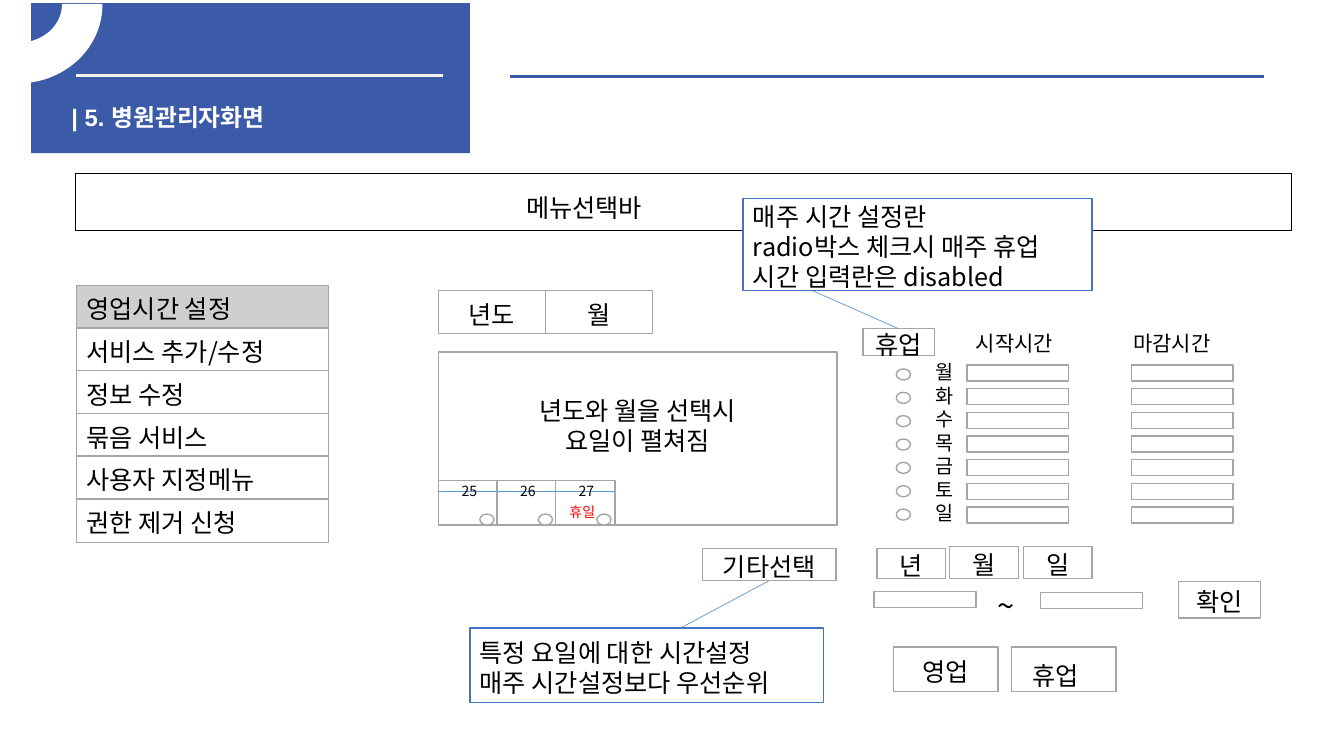
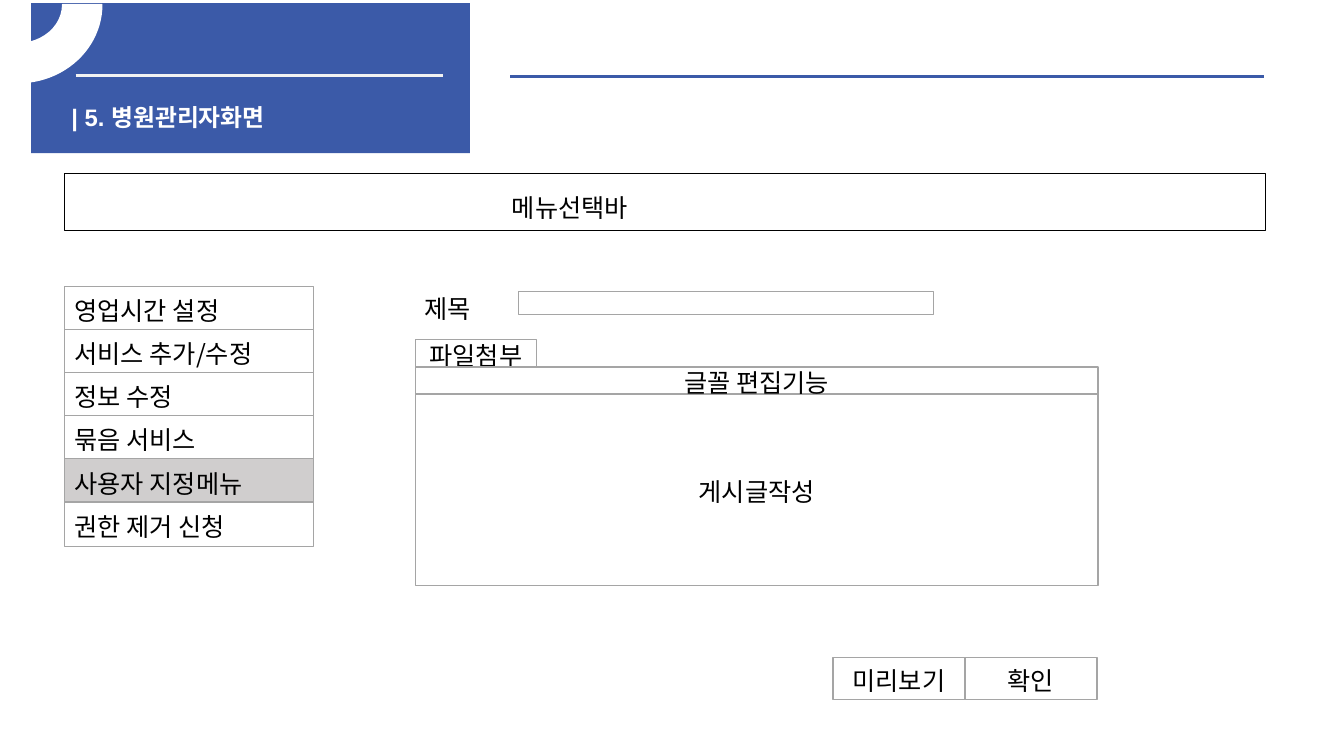
from dataclasses import dataclass
from typing import Optional

from lxml.etree import SubElement
from pptx import Presentation
from pptx.dml.color import RGBColor
from pptx.enum.shapes import MSO_CONNECTOR, MSO_SHAPE
from pptx.enum.text import MSO_ANCHOR, PP_ALIGN
from pptx.oxml.ns import qn
from pptx.shapes.autoshape import Shape
from pptx.slide import Slide
from pptx.text.text import TextFrame
from pptx.util import Inches, Pt

COLORS = {
    "navy": "3B5AA8", "white": "FFFFFF", "pale": "F2F2F2", "black": "000000",
    "gray": "A5A5A5", "chosen": "D0CECE", "note": "4472C4", "link": "5B9BD5",
    "red": "FF0000",
}
BODY = "Noto Sans CJK KR"
MENU = ("영업시간 설정", "서비스 추가/수정", "정보 수정", "묶음 서비스",
        "사용자 지정메뉴", "권한 제거 신청")
DAYS = ("월", "화", "수", "목", "금", "토", "일")


@dataclass(frozen=True)
class Style:
    size: float = 18
    color: str = "black"
    font: str = BODY
    bold: bool = False


@dataclass(frozen=True)
class Box:
    left: float
    top: float
    width: float
    height: float
    lines: tuple[str, ...] = ()
    fill: Optional[str] = "white"
    edge: Optional[str] = "gray"
    align: PP_ALIGN = PP_ALIGN.CENTER
    kind: MSO_SHAPE = MSO_SHAPE.RECTANGLE
    bottom: float = 0.03


@dataclass(frozen=True)
class Label:
    left: float
    top: float
    width: float
    height: float
    lines: tuple[str, ...]
    style: Style = Style()


def tint(name: str) -> RGBColor:
    return RGBColor.from_string(COLORS[name])


def spread(first: float, last: float, count: int) -> list[float]:
    """Give evenly spaced positions from first to last."""
    return [first + (last - first) * i / (count - 1) for i in range(count)]


def write(frame: TextFrame, lines: tuple[str, ...], style: Style,
          align: PP_ALIGN, bottom: float = 0.03) -> None:
    frame.word_wrap = True
    frame.margin_left = frame.margin_right = Inches(0.1)
    frame.margin_top, frame.margin_bottom = Inches(0.07), Inches(bottom)
    for i, line in enumerate(lines):
        para = frame.add_paragraph() if i else frame.paragraphs[0]
        para.text = line
        para.alignment = align
        para.line_spacing = Pt(style.size * 1.2)
        font = para.font
        font.size, font.bold = Pt(style.size), style.bold
        font.color.rgb = tint(style.color)
        font.name = style.font
        props = para._p.pPr.find(qn("a:defRPr"))
        SubElement(props, qn("a:ea")).set("typeface", BODY)


def draw(slide: Slide, box: Box) -> Shape:
    shape = slide.shapes.add_shape(
        box.kind, Inches(box.left), Inches(box.top),
        Inches(box.width), Inches(box.height))
    shape.shadow.inherit = False
    if box.fill:
        shape.fill.solid()
        shape.fill.fore_color.rgb = tint(box.fill)
    else:
        shape.fill.background()
    if box.edge:
        shape.line.color.rgb = tint(box.edge)
        shape.line.width = Pt(1)
    else:
        shape.line.fill.background()
    if box.lines:
        frame = shape.text_frame
        frame.vertical_anchor = MSO_ANCHOR.MIDDLE
        write(frame, box.lines, Style(), box.align, box.bottom)
    return shape


def label(slide: Slide, item: Label) -> None:
    area = slide.shapes.add_textbox(
        Inches(item.left), Inches(item.top),
        Inches(item.width), Inches(item.height))
    write(area.text_frame, item.lines, item.style, PP_ALIGN.LEFT)


def rule(slide: Slide, x1: float, y1: float, x2: float, y2: float,
         color: str = "link", width: float = 0.5) -> None:
    line = slide.shapes.add_connector(
        MSO_CONNECTOR.STRAIGHT, Inches(x1), Inches(y1), Inches(x2), Inches(y2))
    line.line.color.rgb = tint(color)
    line.line.width = Pt(width)
    SubElement(line._element.spPr, qn("a:effectLst"))


def radio(slide: Slide, left: float, top: float) -> None:
    draw(slide, Box(left, top, 0.14, 0.11, kind=MSO_SHAPE.OVAL))


def field(slide: Slide, left: float, top: float) -> None:
    draw(slide, Box(left, top, 1.01, 0.16))


def note(slide: Slide, left: float, top: float, width: float, height: float,
         lines: tuple[str, ...]) -> None:
    draw(slide, Box(left, top, width, height, lines, edge="note",
                    align=PP_ALIGN.LEFT))


def header(slide: Slide) -> None:
    draw(slide, Box(0.31, 0.03, 4.35, 1.49, fill="navy", edge=None))
    rule(slide, 0.75, 0.75, 4.39, 0.75, "pale", 2.25)
    rule(slide, 5.06, 0.76, 12.54, 0.76, "navy", 2.25)
    label(slide, Label(0.61, 0.95, 2.83, 0.39, ("| 5. 병원관리자화면",),
                       Style(17, "white", "Arial", True)))
    arc = draw(slide, Box(-0.65, -0.73, 1.66, 1.55, edge="white",
                          kind=MSO_SHAPE.BLOCK_ARC))
    for i, value in enumerate((0, 54.41, 0.25)):
        arc.adjustments[i] = value


def topbar(slide: Slide, left: float, width: float, text: float) -> None:
    draw(slide, Box(left, 1.72, width, 0.57, fill=None, edge="black"))
    label(slide, Label(text, 1.84, 3, 0.33, ("메뉴선택바",)))


def sidebar(slide: Slide, left: float, width: float, first: float,
            last: float, height: float, chosen: int) -> None:
    for i, top in enumerate(spread(first, last, len(MENU))):
        draw(slide, Box(left, top, width, height, (MENU[i],),
                        fill="chosen" if i == chosen else "white",
                        align=PP_ALIGN.LEFT))


def month(slide: Slide) -> None:
    """Draw the month picker and its sample days."""
    for left, text in ((4.35, "년도"), (5.41, "월")):
        draw(slide, Box(left, 2.88, 1.06, 0.43, (text,)))
    draw(slide, Box(4.35, 3.49, 3.95, 1.72,
                    ("년도와 월을 선택시", "요일이 펼쳐짐"), bottom=0.33))
    for i, left in enumerate(spread(4.35, 5.51, 3)):
        draw(slide, Box(left, 4.77, 0.59, 0.44))
        rule(slide, left, 4.87, left + 0.58, 4.87)
        label(slide, Label(left + 0.13, 4.72, 0.44, 0.22,
                           (str(25 + i),), Style(10)))
        radio(slide, left + 0.41, 5.1)
    label(slide, Label(5.55, 4.93, 0.57, 0.22, ("휴일",), Style(10, "red")))


def week(slide: Slide) -> None:
    """Draw the weekly opening hours."""
    label(slide, Label(9.18, 3.5, 0.72, 1.99, DAYS, Style(14)))
    for left, text in ((9.58, "시작시간"), (11.14, "마감시간")):
        label(slide, Label(left, 3.21, 1.09, 0.29, (text,), Style(15)))
    for top in spread(3.62, 5.03, len(DAYS)):
        field(slide, 9.59, top)
        field(slide, 11.22, top)
    draw(slide, Box(8.56, 3.26, 0.71, 0.27, ("휴업",)))
    for top in spread(3.66, 5.05, len(DAYS)):
        radio(slide, 8.89, top)


def special(slide: Slide) -> None:
    """Draw the settings for one chosen date."""
    for box in (
        Box(8.86, 6.42, 1.04, 0.44, ("영업",)),
        Box(10.03, 6.42, 1.04, 0.44),
        Box(8.7, 5.44, 0.68, 0.3, ("년",)),
        Box(9.42, 5.42, 0.68, 0.32, ("월",)),
        Box(10.15, 5.42, 0.68, 0.32, ("일",)),
        Box(6.97, 5.44, 1.32, 0.32, ("기타선택",)),
        Box(11.69, 5.77, 0.81, 0.36, ("확인",)),
    ):
        draw(slide, box)
    label(slide, Label(10.14, 6.48, 0.9, 0.33, ("휴업",)))
    field(slide, 8.67, 5.87)
    field(slide, 10.32, 5.88)
    label(slide, Label(9.8, 5.75, 0.4, 0.38, ("~",), Style(22)))


def hours(slide: Slide) -> None:
    header(slide)
    topbar(slide, 0.75, 12.06, 5.12)
    sidebar(slide, 0.76, 2.5, 2.83, 4.95, 0.43, 0)
    month(slide)
    week(slide)
    special(slide)
    rule(slide, 8.05, 2.88, 8.91, 3.26)
    note(slide, 7.37, 1.97, 3.46, 0.91,
         ("매주 시간 설정란", "radio박스 체크시 매주 휴업",
          "시간 입력란은 disabled"))
    rule(slide, 7.63, 5.76, 6.77, 6.22)
    note(slide, 4.66, 6.23, 3.51, 0.74,
         ("특정 요일에 대한 시간설정", "매주 시간설정보다 우선순위"))


def post(slide: Slide) -> None:
    header(slide)
    topbar(slide, 0.64, 11.91, 4.98)
    sidebar(slide, 0.64, 2.47, 2.84, 4.98, 0.44, 4)
    label(slide, Label(4.11, 2.84, 1.22, 0.33, ("제목",)))
    for box in (
        Box(5.14, 2.89, 4.12, 0.23),
        Box(4.12, 3.37, 1.2, 0.27, ("파일첨부",)),
        Box(4.12, 3.91, 6.77, 1.9, ("게시글작성",)),
        Box(8.26, 6.52, 1.31, 0.42, ("미리보기",)),
        Box(9.57, 6.52, 1.31, 0.42, ("확인",)),
        Box(4.12, 3.64, 6.77, 0.27, ("글꼴 편집기능",)),
    ):
        draw(slide, box)


def main() -> None:
    deck = Presentation()
    deck.slide_width, deck.slide_height = Inches(13.33), Inches(7.5)
    for build in (hours, post):
        build(deck.slides.add_slide(deck.slide_layouts[6]))
    deck.save("out.pptx")


if __name__ == "__main__":
    main()
